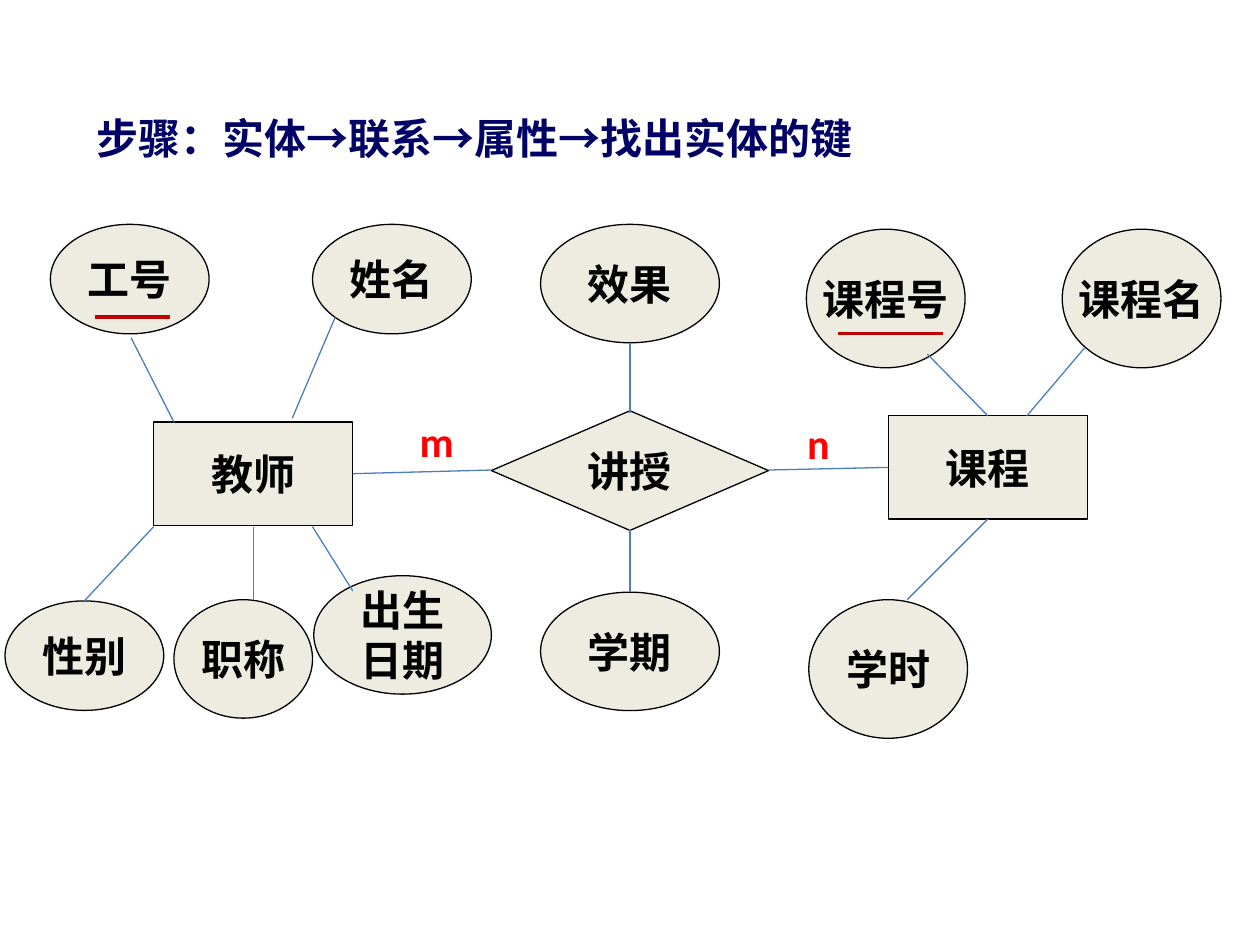
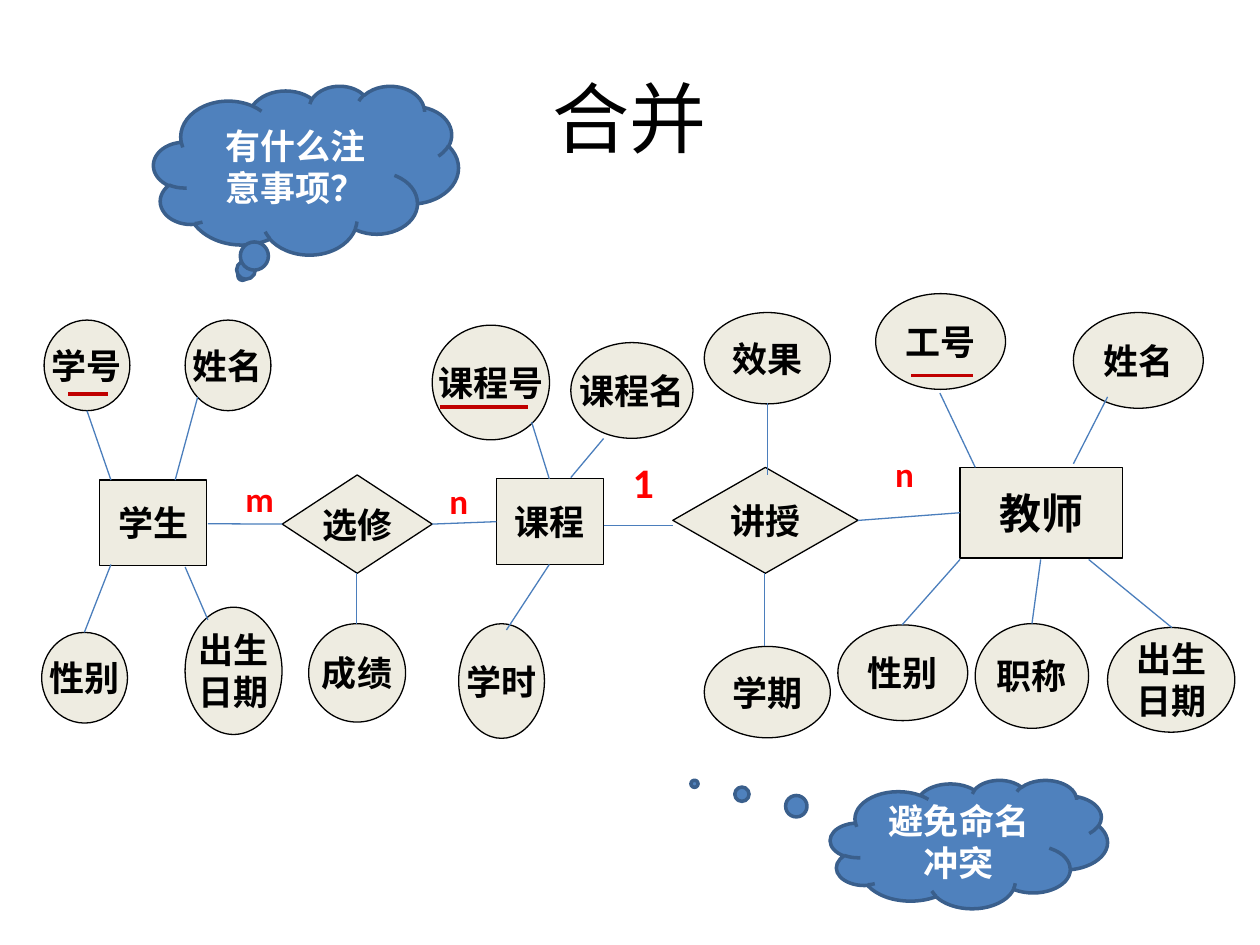
from pptx import Presentation
from pptx.dml.color import RGBColor
from pptx.enum.shapes import MSO_CONNECTOR as Connector, MSO_SHAPE as Shape
from pptx.enum.text import MSO_ANCHOR as Anchor, PP_ALIGN as Align
from pptx.oxml import parse_xml
from pptx.oxml.ns import nsdecls
from pptx.util import Pt

CREAM, BLACK, WHITE = "EEECE1", "000000", "FFFFFF"
NAVY, BLUE, DARK_BLUE = "000066", "4F81BD", "3A5F8C"
LINK_BLUE, KEY_RED, LABEL_RED = "4B7EBC", "C00000", "FF0000"


def color(code):
    """Turn a hex string into a colour."""
    return RGBColor.from_string(code)


class Diagram:
    """Draws entity-relationship pages in one shared style."""

    def __init__(self):
        """Open a deck of 10 by 7.5 inch pages."""
        self.deck = Presentation()
        self.deck.slide_width, self.deck.slide_height = Pt(720), Pt(540)
        self.page = None
        self.size = 24

    def new_page(self, size):
        """Start a blank page whose nodes use the given text size."""
        self.page = self.deck.slides.add_slide(self.deck.slide_layouts[6])
        self.size = size

    def fill_text(self, box, text, size, font, ink, bold=True, align=Align.CENTER, wrap=True):
        """Fill a box with one paragraph per line of text."""
        frame = box.text_frame
        frame.word_wrap = wrap
        frame.vertical_anchor = Anchor.MIDDLE
        for index, line in enumerate(text.split("\n")):
            para = frame.add_paragraph() if index else frame.paragraphs[0]
            para.alignment = align
            span = para.add_run()
            span.text = line
            span.font.name, span.font.size, span.font.bold = font, Pt(size), bold
            span.font.color.rgb = color(ink)

    def label(self, text, left, top, width, height, size, font, ink, **options):
        """Add a plain text box."""
        box = self.page.shapes.add_textbox(Pt(left), Pt(top), Pt(width), Pt(height))
        self.fill_text(box, text, size, font, ink, **options)

    def shape(self, kind, left, top, width, height, fill, edge, weight):
        """Add a filled and outlined preset shape."""
        box = self.page.shapes.add_shape(kind, Pt(left), Pt(top), Pt(width), Pt(height))
        box.shadow.inherit = False
        box.fill.solid()
        box.fill.fore_color.rgb = color(fill)
        box.line.color.rgb = color(edge)
        box.line.width = Pt(weight)
        return box

    def nodes(self, kind, width, height, *places, size=None):
        """Add equal nodes, each placed by text, left and top."""
        for text, left, top in places:
            box = self.shape(kind, left, top, width, height, CREAM, BLACK, 0.75)
            self.fill_text(box, text, size or self.size, "Arial", BLACK, wrap=False)

    def entities(self, width, height, *places, size=None):
        """Add entity rectangles."""
        self.nodes(Shape.FLOWCHART_PROCESS, width, height, *places, size=size)

    def relation(self, text, left, top, width, height):
        """Add a relationship diamond."""
        self.nodes(Shape.DIAMOND, width, height, (text, left, top))

    def attributes(self, width, height, *places):
        """Add attribute ellipses."""
        self.nodes(Shape.OVAL, width, height, *places)

    def line(self, x1, y1, x2, y2, ink=LINK_BLUE, weight=0.75):
        """Add a straight line without shadow."""
        line = self.page.shapes.add_connector(
            Connector.STRAIGHT, Pt(x1), Pt(y1), Pt(x2), Pt(y2))
        line.line.color.rgb = color(ink)
        line.line.width = Pt(weight)
        line._element.spPr.append(parse_xml(f"<a:effectLst {nsdecls('a')}/>"))

    def links(self, *ends):
        """Add the lines that join nodes."""
        for end in ends:
            self.line(*end)

    def key(self, left, right, y, weight=2.25):
        """Underline a key attribute."""
        self.line(left, y, right, y, KEY_RED, weight)

    def cardinality(self, text, left, top, width, height, size=None):
        """Add a red cardinality label."""
        self.label(text, left, top, width, height, size or self.size, "Calibri", LABEL_RED)

    def cloud(self, text, left, top, width, height, tail=None):
        """Add a thought cloud, with its tail moved if given."""
        box = self.shape(Shape.CLOUD_CALLOUT, left, top, width, height, BLUE, DARK_BLUE, 2)
        for index, value in enumerate(tail or ()):
            box.adjustments[index] = value
        self.fill_text(box, text, 20, "Calibri", WHITE)


def teaching_page(art):
    """Draw the teacher and course model."""
    art.new_page(24)
    art.label("步骤：实体→联系→属性→找出实体的键", 48.2, 60.5, 451.4, 36, 24, "Arial", NAVY,
              align=Align.LEFT, wrap=False)
    art.entities(113.8, 59, ("教师", 87.8, 241.2), ("课程", 507.6, 237.6))
    art.relation("讲授", 280.8, 234.7, 158.4, 68.4)
    art.attributes(90.7, 62.6, ("性别", 2.9, 343.4), ("工号", 28.8, 128.2), ("姓名", 178.6, 128.2))
    art.attributes(101.5, 67.7, ("出生\n日期", 179.3, 329))
    art.attributes(79.2, 67.7, ("职称", 99.4, 342.7))
    art.attributes(102.2, 67.7, ("效果", 308.9, 128.2), ("学期", 308.9, 338.4))
    art.attributes(90.7, 79.2, ("学时", 462.2, 342.7), ("课程号", 460.8, 131), ("课程名", 607, 131))
    art.links(
        (74.9, 193, 99.4, 241.2), (167, 239, 191.5, 181.4),
        (87.8, 301, 48.2, 343.4), (144.7, 301, 144.7, 342.7), (178.6, 301, 201.6, 337.7),
        (201.6, 270.7, 280.8, 268.6), (439.2, 268.6, 507.6, 267.1),
        (360, 195.8, 360, 236.2), (360, 303.1, 360, 338.4),
        (564.5, 237.6, 529.9, 202.3), (586.8, 237.6, 619.9, 198.7),
        (564.5, 296.6, 518.4, 342.7))
    art.key(54, 97.2, 181.4)
    art.key(478.8, 538.6, 190.8, 1.75)
    art.cardinality("m", 229.7, 227.5, 39.6, 48.2)
    art.cardinality("n", 439.2, 229.7, 56.9, 46.1)


def merged_page(art):
    """Draw the merged student, course and teacher model."""
    art.new_page(20)
    art.label("合并", 36, 21.6, 648, 90, 44, "Calibri", BLACK, bold=False)
    art.entities(61.2, 49, ("学生", 56.9, 274.3), ("课程", 283.7, 273.6))
    art.entities(92.9, 51.8, ("教师", 548.6, 267.1), size=24)
    art.relation("选修", 161.3, 271.4, 85.7, 56.2)
    art.relation("讲授", 384.5, 267.1, 105.8, 60.5)
    art.attributes(49, 51.8, ("性别", 23.8, 361.4), ("学号", 25.2, 182.9), ("姓名", 105.8, 182.9))
    art.attributes(55.4, 72.7, ("出生\n日期", 105.8, 347))
    art.attributes(55.4, 56.2, ("成绩", 176.4, 356.4))
    art.attributes(49, 65.5, ("学时", 262.1, 356.4))
    art.attributes(67, 65.5, ("课程号", 247, 185.8))
    art.attributes(69.8, 54.7, ("课程名", 326.2, 195.8))
    art.attributes(72, 52.2, ("效果", 402.5, 178.6), ("学期", 402.5, 369.4))
    art.attributes(74.2, 54.7, ("性别", 478.8, 357.1), ("工号", 500.4, 167.8), ("姓名", 613.4, 178.6))
    art.attributes(64.8, 59.8, ("职称", 557.3, 356.4))
    art.attributes(72.7, 59.8, ("出生\n日期", 632.9, 358.6))
    art.links(
        (49.7, 234.7, 63.4, 274.3), (100.1, 274.3, 113, 226.8),
        (63.4, 322.6, 48.2, 361.4), (105.8, 324, 118.8, 354.2),
        (118.8, 299.3, 161.3, 299.5), (247, 299.5, 283.7, 298.1),
        (203.8, 327.6, 203.8, 356.4),
        (313.9, 273.6, 303.8, 241.2), (326.2, 272.9, 344.9, 250.6),
        (313.9, 322.6, 289.4, 360),
        (344.9, 300.2, 384.5, 300.2), (490.3, 297.4, 548.6, 293),
        (438.5, 230.4, 438.5, 271.4), (437, 327.6, 437, 369.4),
        (537.1, 224.6, 557.3, 267.1), (613.4, 265, 632.9, 226.8),
        (548.6, 319.7, 515.5, 357.1), (594.7, 319.7, 589.7, 356.4),
        (622.1, 319.7, 669.6, 358.6))
    art.key(38.9, 61.9, 225.4)
    art.key(251.3, 301.7, 232.6, 1.75)
    art.key(520.6, 555.8, 214.6)
    art.cardinality("m", 133.2, 265, 21.6, 39.6)
    art.cardinality("n", 247, 267.1, 30.2, 37.4)
    art.cardinality("1", 351.4, 254.9, 32.4, 40.3, size=24)
    art.cardinality("n", 501.8, 252, 30.2, 37.4)
    art.cloud("有什么注意事项？", 87.8, 49, 174.2, 96.5)
    art.cloud("避免命名冲突", 474.5, 445.7, 158.4, 73.4, tail=(-0.99, -0.47))


def main():
    """Build and save the deck."""
    art = Diagram()
    teaching_page(art)
    merged_page(art)
    art.deck.save("out.pptx")


if __name__ == "__main__":
    main()
